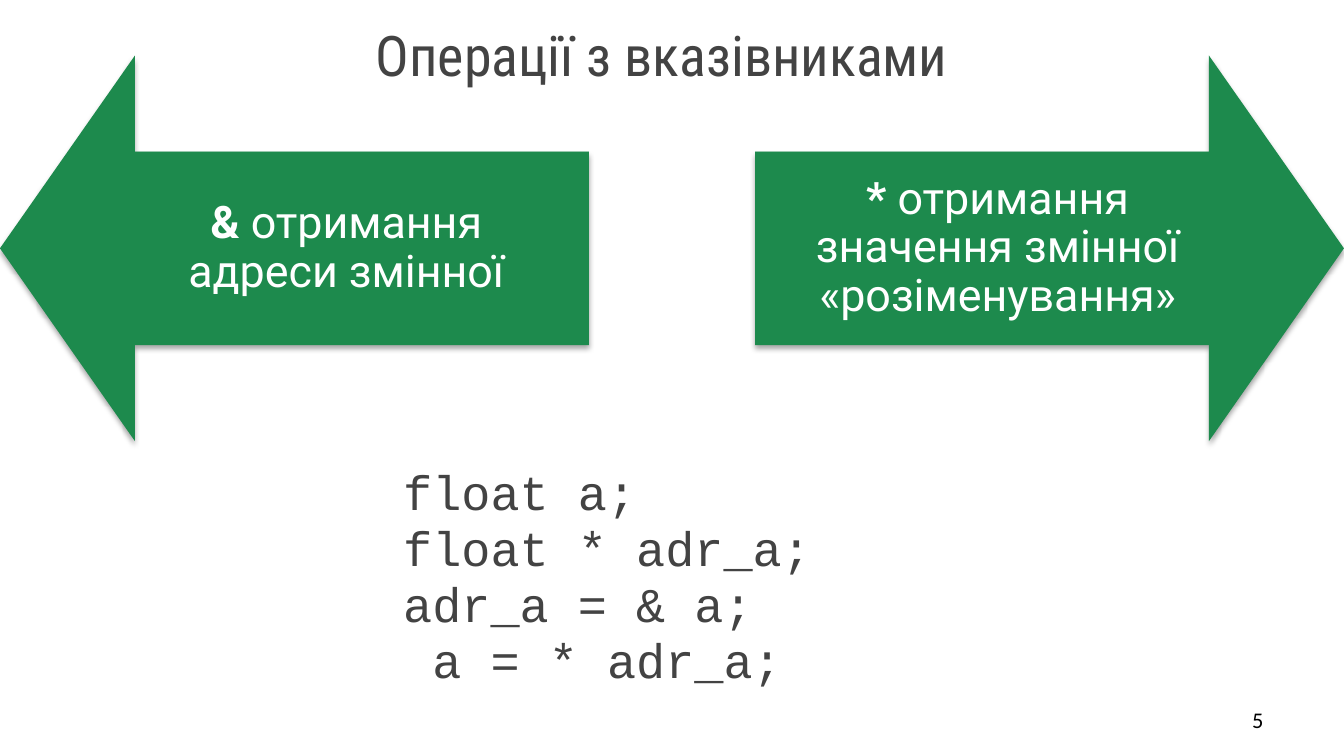
import pptx
import pptx.util
import pptx.oxml
import pptx.oxml.ns
from pptx.dml.color import RGBColor
from pptx.enum.shapes import MSO_SHAPE
from pptx.enum.text import MSO_ANCHOR, MSO_AUTO_SIZE, PP_ALIGN
from pptx.util import Cm

# Content
TITLE = "Операції з вказівниками"
OPERATORS = [
    {"sign": "&", "meaning": " отримання адреси змінної",
     "arrow": MSO_SHAPE.LEFT_ARROW, "arrow_left": 0, "label_left": 1.96, "inset": 0.94},
    {"sign": "*", "meaning": " отримання значення змінної «розіменування»",
     "arrow": MSO_SHAPE.RIGHT_ARROW, "arrow_left": 14.27, "label_left": 14.27, "inset": 1.07},
]
CODE = ["float a;", "float * adr_a;", "adr_a = & a;", " a = * adr_a;"]
PAGE_NUMBER = "5"

COLORS = {"green": "1D8A4D", "white": "FFFFFF", "text": "434343", "black": "000000"}
ARROW_TOP, ARROW_WIDTH, ARROW_HEIGHT = 1.05, 11.13, 7.29
LABEL_WIDTH, LABEL_HEIGHT = 9.17, 3.66
SHADOW = (
    '<a:effectLst %s><a:outerShdw blurRad="39370" dist="22860" dir="5400000" rotWithShape="0">'
    '<a:srgbClr val="%s"><a:alpha val="35000"/></a:srgbClr></a:outerShdw></a:effectLst>'
    % (pptx.oxml.ns.nsdecls("a"), COLORS["black"])
)


def write(shape, paragraphs, size, font, color, align=PP_ALIGN.LEFT,
          anchor=MSO_ANCHOR.TOP, inset=None, spacing=None, gap=0):
    """Fill a shape with paragraphs, each a list of (text, bold) runs."""
    frame = shape.text_frame
    frame.word_wrap = True
    frame.auto_size = MSO_AUTO_SIZE.NONE
    frame.vertical_anchor = anchor
    frame.margin_left = frame.margin_right = Cm(0.25 if inset is None else inset)
    frame.margin_top = frame.margin_bottom = Cm(0.13 if inset is None else inset)
    for i, runs in enumerate(paragraphs):
        paragraph = frame.add_paragraph() if i else frame.paragraphs[0]
        paragraph.alignment = align
        paragraph.space_before = pptx.util.Pt(gap if i else 0)
        if spacing:
            paragraph.line_spacing = spacing
        for text, bold in runs:
            run = paragraph.add_run()
            run.text = text
            run.font.size = pptx.util.Pt(size)
            run.font.name = font
            run.font.bold = bold
            run.font.color.rgb = RGBColor.from_string(COLORS[color])


def place(shape, left, top, width, height):
    shape.left, shape.top = Cm(left), Cm(top)
    shape.width, shape.height = Cm(width), Cm(height)


def add_green_shape(slide, kind, *box):
    shape = slide.shapes.add_shape(kind, *map(Cm, box))
    shape.shadow.inherit = False
    shape.fill.solid()
    shape.fill.fore_color.rgb = RGBColor.from_string(COLORS["green"])
    shape.line.fill.background()
    return shape


def main():
    deck = pptx.Presentation()
    deck.slide_width, deck.slide_height = Cm(25.4), Cm(14.29)
    slide = deck.slides.add_slide(deck.slide_layouts[1])
    title, code = slide.placeholders

    # Operator arrows with their labels
    label_top = ARROW_TOP + (ARROW_HEIGHT - LABEL_HEIGHT) / 2
    for operator in OPERATORS:
        arrow = add_green_shape(slide, operator["arrow"], operator["arrow_left"],
                                ARROW_TOP, ARROW_WIDTH, ARROW_HEIGHT)
        arrow.adjustments[0], arrow.adjustments[1] = 0.5, 0.35
        properties = arrow.element.spPr
        properties.remove(properties.find(pptx.oxml.ns.qn("a:effectLst")))
        properties.append(pptx.oxml.parse_xml(SHADOW))

        label = add_green_shape(slide, MSO_SHAPE.RECTANGLE, operator["label_left"],
                                label_top, LABEL_WIDTH, LABEL_HEIGHT)
        write(label, [[(operator["sign"], True), (operator["meaning"], False)]],
              24, "Roboto", "white", align=PP_ALIGN.CENTER,
              anchor=MSO_ANCHOR.MIDDLE, inset=operator["inset"], spacing=0.9)

    # Code sample, without bullets
    place(code, 7.37, 7.44, 9.17, 5.54)
    write(code, [[(line, False)] for line in CODE], 26, "Courier New", "text",
          spacing=0.8, gap=5.2)
    code.text_frame.margin_top = Cm(1.5)
    for paragraph in code.text_frame.paragraphs:
        properties = paragraph._p.get_or_add_pPr()
        properties.set("marL", "0")
        properties.set("indent", "0")
        properties.append(pptx.oxml.parse_xml("<a:buNone %s/>" % pptx.oxml.ns.nsdecls("a")))

    # Title and page number
    place(title, 5.31, 0.25, 14.4, 1.22)
    write(title, [[(TITLE, False)]], 30, "Roboto Condensed", "text", align=PP_ALIGN.CENTER)
    page = slide.shapes.add_textbox(Cm(18.21), Cm(13.23), Cm(5.92), Cm(0.76))
    write(page, [[(PAGE_NUMBER, False)]], 12, "Calibri", "black",
          align=PP_ALIGN.RIGHT, anchor=MSO_ANCHOR.MIDDLE)

    deck.save("out.pptx")


if __name__ == "__main__":
    main()
